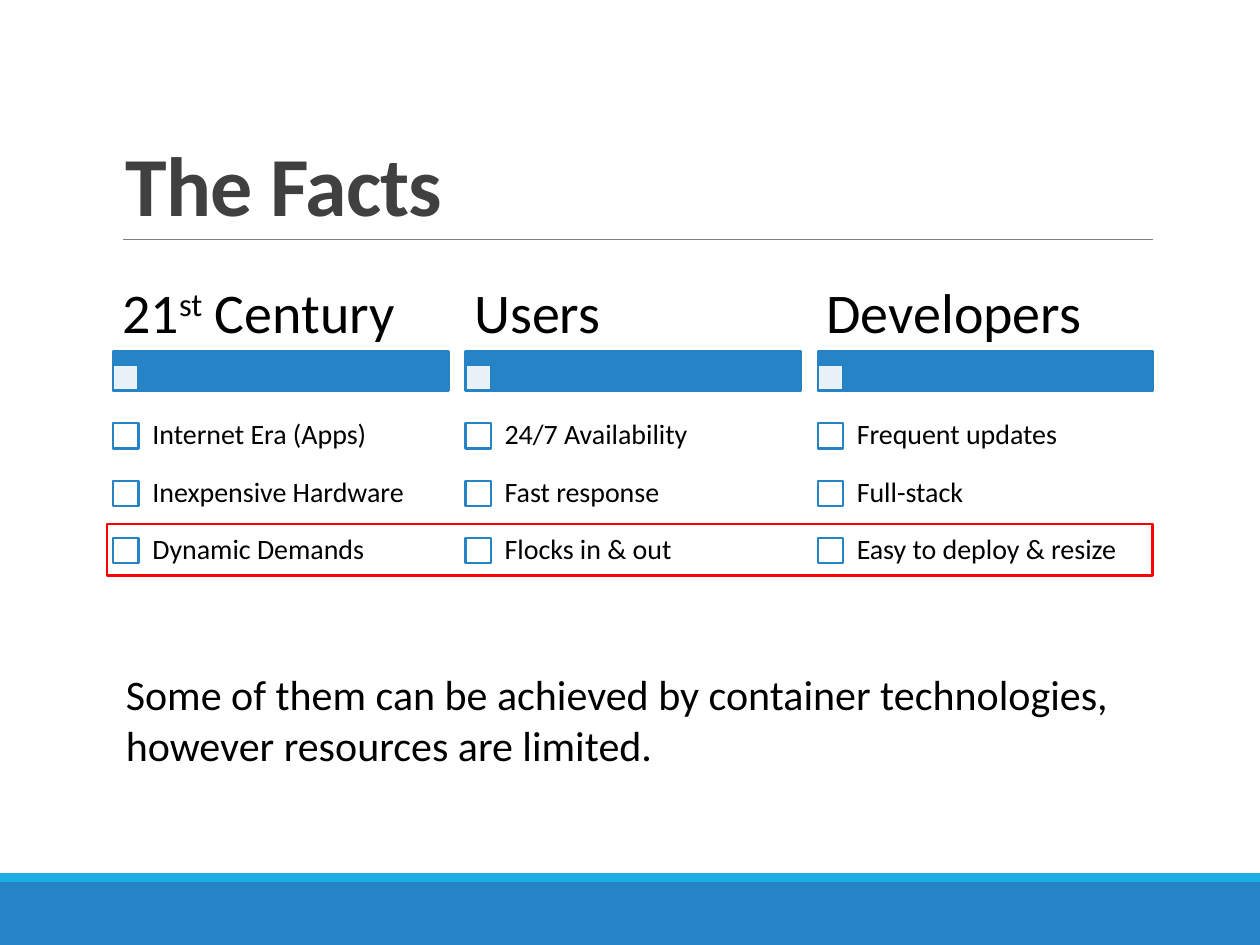
from lxml.etree import SubElement
from pptx import Presentation
from pptx.dml.color import RGBColor
from pptx.enum.shapes import MSO_CONNECTOR, MSO_SHAPE
from pptx.enum.text import MSO_ANCHOR
from pptx.oxml.ns import qn
from pptx.util import Inches, Pt

BLUE = RGBColor(0x26, 0x83, 0xC6)
CYAN = RGBColor(0x1C, 0xAD, 0xE4)
GRAY = RGBColor(0x80, 0x80, 0x80)
DARK = RGBColor(0x40, 0x40, 0x40)
BLACK = RGBColor(0, 0, 0)
WHITE = RGBColor(0xFF, 0xFF, 0xFF)
RED = RGBColor(0xFF, 0, 0)

LEFT, COLUMN_STEP, COLUMN_WIDTH = 0.9, 2.795, 2.66
ROW_TOP, ROW_STEP = 3.23, 0.455
BOX = 0.2
COLUMNS = [
    (["21", "st", " Century"],
     ["Internet Era (Apps)", "Inexpensive Hardware", "Dynamic Demands"]),
    (["Users"], ["24/7 Availability", "Fast response", "Flocks in & out"]),
    (["Developers"], ["Frequent updates", "Full-stack", "Easy to deploy & resize"]),
]


def set_attrs(obj, values):
    """Set each named attribute of an object."""
    for name, value in values.items():
        setattr(obj, name, value)


def add_rect(s, x, y, w, h, fill=None, line=None, width=1.25, alpha=None):
    """Add a rectangle with optional fill, outline and opacity in percent."""
    sp = s.shapes.add_shape(MSO_SHAPE.RECTANGLE, Inches(x), Inches(y), Inches(w), Inches(h))
    sp.shadow.inherit = False
    if fill is None:
        sp.fill.background()
    else:
        sp.fill.solid()
        sp.fill.fore_color.rgb = fill
    if alpha is not None:
        color = sp._element.spPr.find(".//" + qn("a:srgbClr"))
        SubElement(color, qn("a:alpha"), val=str(alpha * 1000))
    if line is None:
        sp.line.fill.background()
    else:
        sp.line.color.rgb = line
        sp.line.width = Pt(width)


def add_text(s, x, y, w, h, runs, size, color=BLACK, bold=False, spacing=1.0,
             anchor=MSO_ANCHOR.MIDDLE, inset=(0.1, 0.05)):
    """Add a text box with one paragraph and return its runs."""
    tf = s.shapes.add_textbox(Inches(x), Inches(y), Inches(w), Inches(h)).text_frame
    dx, dy = map(Inches, inset)
    set_attrs(tf, {"word_wrap": True, "vertical_anchor": anchor, "margin_left": dx,
                   "margin_right": dx, "margin_top": dy, "margin_bottom": dy})
    p = tf.paragraphs[0]
    p.line_spacing = spacing
    for text in runs:
        r = p.add_run()
        r.text = text
        set_attrs(r.font, {"name": "Calibri", "size": Pt(size), "bold": bold})
        r.font.color.rgb = color
    return p.runs


def add_rule(s, x1, x2, y):
    """Add the thin horizontal line under the title."""
    line = s.shapes.add_connector(MSO_CONNECTOR.STRAIGHT, Inches(x1), Inches(y),
                                  Inches(x2), Inches(y))
    line.line.color.rgb = GRAY
    line.line.width = Pt(0.5)
    SubElement(line._element.spPr, qn("a:effectLst"))


def add_column(s, x, heading, items):
    """Add a heading, its bar and a list of checkbox items."""
    add_rect(s, x, 2.79, COLUMN_WIDTH, 0.31, BLUE, BLUE)
    add_rect(s, x, 2.9, BOX, BOX, WHITE, BLUE, alpha=90)
    runs = add_text(s, x, 2.22, COLUMN_WIDTH, 0.56, heading, 32, spacing=0.9,
                    inset=(0.07, 0.04))
    for r in runs[1:2]:
        r.font._element.set("baseline", "30000")
    for i, item in enumerate(items):
        y = ROW_TOP + i * ROW_STEP
        add_rect(s, x, y + 0.13, BOX, BOX, WHITE, BLUE)
        add_text(s, x + 0.19, y, 2.47, 0.46, [item], 16, spacing=0.9, inset=(0.12, 0.12))


def main():
    """Build the slide and save it."""
    prs = Presentation()
    set_attrs(prs, {"slide_width": Inches(10), "slide_height": Inches(7.5)})
    s = prs.slides.add_slide(prs.slide_layouts[6])
    add_rect(s, 0, 7, 10, 0.5, BLUE)
    add_rect(s, 0, 6.93, 10, 0.07, CYAN)
    add_rule(s, 0.98, 9.15, 1.9)
    title = add_text(s, LEFT, 0.31, 8.25, 1.59, ["The Facts"], 48, DARK, True, 0.85,
                     MSO_ANCHOR.BOTTOM)
    title[0].font._element.set("spc", "-50")
    for i, (heading, items) in enumerate(COLUMNS):
        add_column(s, LEFT + i * COLUMN_STEP, heading, items)
    add_text(s, LEFT, 5.26, 8.25, 0.91,
             ["Some of them can be achieved by container technologies, "
              "however resources are limited."], 24, anchor=MSO_ANCHOR.TOP)
    add_rect(s, 0.85, 4.16, 8.3, 0.41, line=RED, width=1.5)
    prs.save("out.pptx")


if __name__ == "__main__":
    main()
